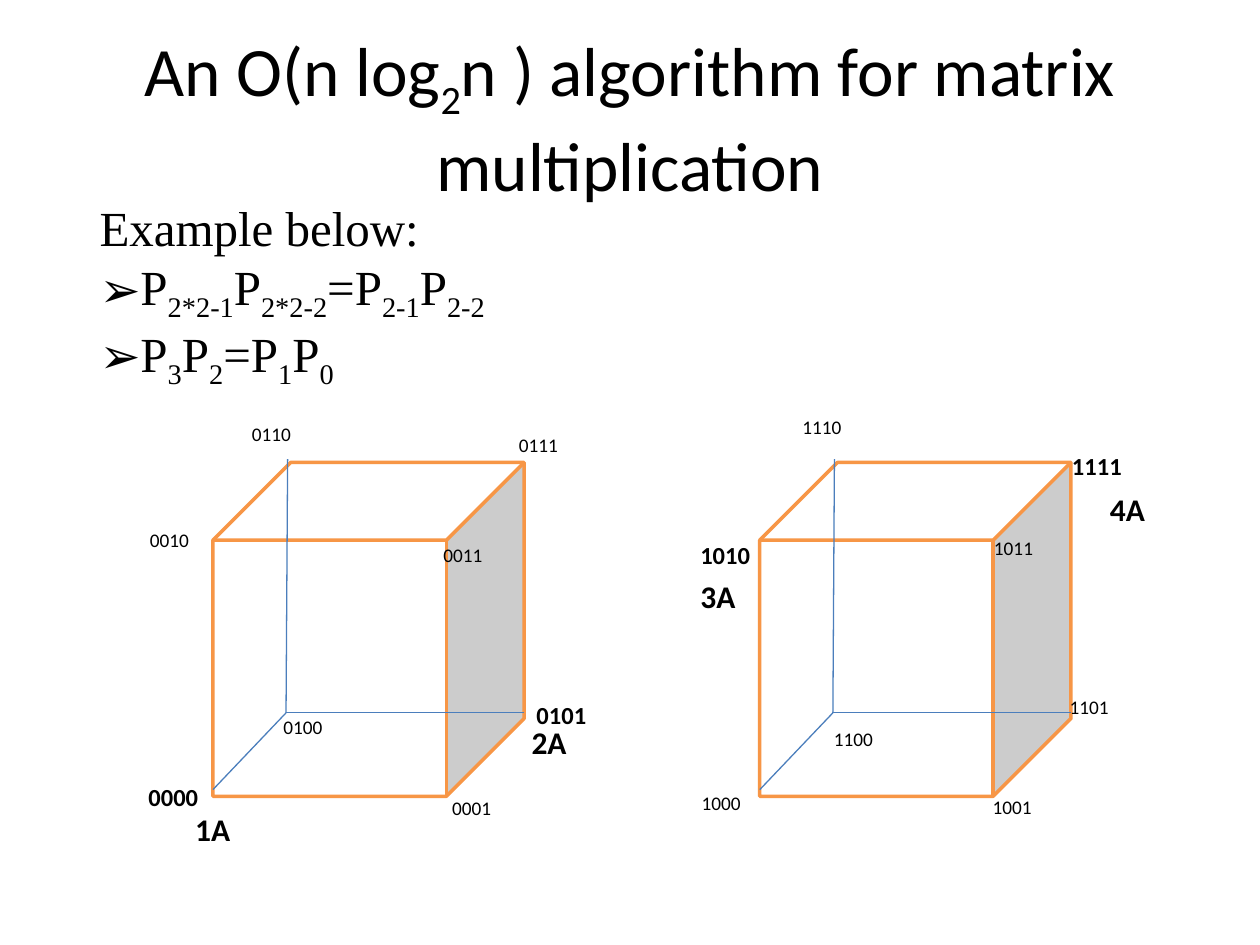
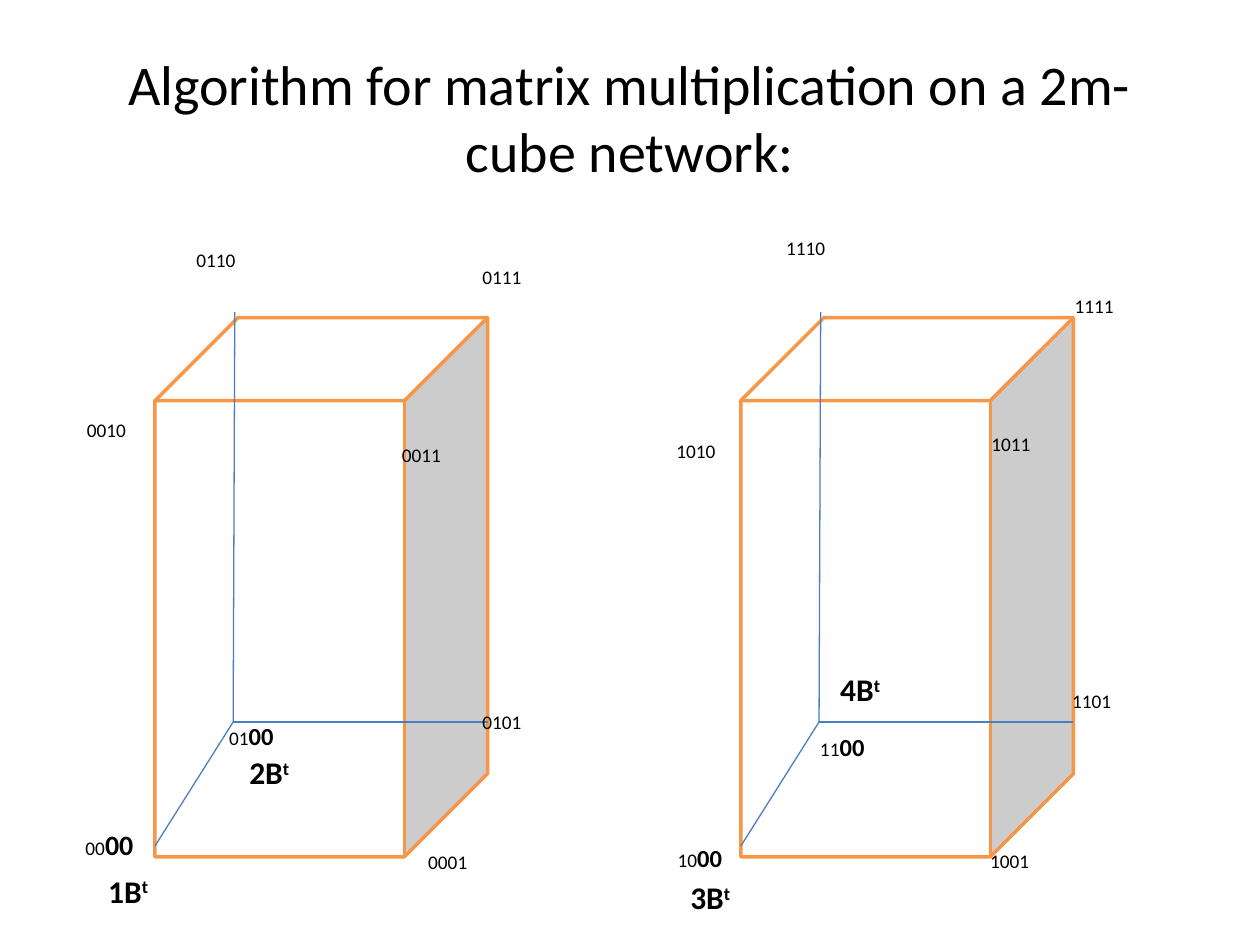
from dataclasses import dataclass

from lxml.etree import SubElement
from pptx import Presentation
from pptx.dml.color import RGBColor
from pptx.enum.shapes import MSO_CONNECTOR, MSO_SHAPE
from pptx.enum.text import MSO_ANCHOR, MSO_AUTO_SIZE, PP_ALIGN
from pptx.oxml.ns import qn
from pptx.util import Inches, Pt


@dataclass(frozen=True)
class Theme:
    ink: RGBColor = RGBColor(0, 0, 0)
    face: RGBColor = RGBColor(0xFF, 0xFF, 0xFF)
    edge: RGBColor = RGBColor(0xF7, 0x96, 0x46)
    hidden_edge: RGBColor = RGBColor(0x4B, 0x7E, 0xBC)
    sans: str = "Calibri"
    serif: str = "Times New Roman"
    node: float = 11
    active_node: float = 14
    block: float = 18
    formula: float = 28


theme = Theme()
SUB, SUPER = -25000, 30000


def write(paragraph, pieces, font=theme.sans):
    """Add pieces of (text, size, bold, baseline) as formatted runs."""
    for text, size, bold, baseline in pieces:
        run = paragraph.add_run()
        run.text = text
        run.font.name, run.font.size, run.font.bold = font, Pt(size), bold
        run.font.color.rgb = theme.ink
        if baseline:
            run.font._element.set("baseline", str(baseline))


def add_label(slide, left, top, width, height, pieces):
    frame = slide.shapes.add_textbox(
        Inches(left), Inches(top), Inches(width), Inches(height)).text_frame
    frame.word_wrap = True
    frame.margin_right = 0
    write(frame.paragraphs[0], pieces)


# Hidden edges run from the far corner, as shares of the cube's box
FAR_CORNER = (0.235, 0.75)
EDGE_ENDS = [(0.24, -0.01), (1, 0.75), (0, 0.98)]

# Each node is (plain digits, bold digits, left, top)
slides = [
    dict(
        layout=1, title_size=39.6,
        title=[("An O(n log", 0), ("2", SUB), ("n ) algorithm for matrix multiplication", 0)],
        cube_lefts=(1.69, 6.03), cube_top=3.67, cube_size=(2.47, 2.65), node_box=(0.92, 0.4),
        nodes=[
            ("", "0000", 1.08, 6.16), ("0001", "", 3.49, 6.27),
            ("0010", "", 1.09, 4.14), ("0011", "", 3.42, 4.26),
            ("0100", "", 2.15, 5.63), ("", "0101", 4.16, 5.51),
            ("0110", "", 1.9, 3.3), ("0111", "", 4.02, 3.39),
            ("1000", "", 5.47, 6.23), ("1001", "", 7.78, 6.26),
            ("", "1010", 5.46, 4.24), ("1011", "", 7.79, 4.21),
            ("1100", "", 6.52, 5.72), ("1101", "", 8.39, 5.47),
            ("1110", "", 6.27, 3.25), ("", "1111", 8.41, 3.53),
        ],
        matrix="A", exponent="", block_width=0.48,
        blocks=[(1.45, 6.38), (4.12, 5.69), (5.46, 4.53), (8.71, 3.84)],
    ),
    dict(
        layout=5, title_size=32,
        title=[("Algorithm for matrix multiplication on a 2m-cube network:", 0)],
        cube_lefts=(1.23, 5.88), cube_top=2.52, cube_size=(2.64, 4.28), node_box=(0.99, 0.64),
        nodes=[
            ("00", "00", 0.58, 6.52), ("0001", "", 3.3, 6.7),
            ("0010", "", 0.59, 3.27), ("0011", "", 3.09, 3.47),
            ("01", "00", 1.72, 5.67), ("0101", "", 3.73, 5.59),
            ("0110", "", 1.46, 1.92), ("0111", "", 3.73, 2.06),
            ("10", "00", 5.28, 6.64), ("1001", "", 7.76, 6.69),
            ("1010", "", 5.27, 3.44), ("1011", "", 7.77, 3.38),
            ("11", "00", 6.41, 5.76), ("1101", "", 8.41, 5.42),
            ("1110", "", 6.14, 1.83), ("1111", "", 8.43, 2.29),
        ],
        matrix="B", exponent="t", block_width=0.59,
        blocks=[(0.76, 6.87), (1.88, 5.93), (5.38, 6.92), (6.57, 5.27)],
    ),
]

# Example list: P terms alternate with their subscripts
example = [
    ["Example below:"],
    ["P", "2*2-1", "P", "2*2-2", "=P", "2-1", "P", "2-2"],
    ["P", "3", "P", "2", "=P", "1", "P", "0"],
]

deck = Presentation()
deck.slide_width, deck.slide_height = Inches(10), Inches(7.5)

for content in slides:
    slide = deck.slides.add_slide(deck.slide_layouts[content["layout"]])

    # Title
    title = slide.shapes.title
    title.left, title.top, title.width, title.height = map(Inches, (0.5, 0.3, 9, 1.25))
    title.text_frame.auto_size = MSO_AUTO_SIZE.NONE
    title.text_frame.vertical_anchor = MSO_ANCHOR.MIDDLE
    heading = title.text_frame.paragraphs[0]
    heading.alignment = PP_ALIGN.CENTER
    write(heading, [(text, content["title_size"], False, base) for text, base in content["title"]])

    # Cubes with their hidden edges
    width, height = content["cube_size"]
    top = content["cube_top"]
    for left in content["cube_lefts"]:
        cube = slide.shapes.add_shape(
            MSO_SHAPE.CUBE, Inches(left), Inches(top), Inches(width), Inches(height))
        cube.shadow.inherit = False
        cube.fill.solid()
        cube.fill.fore_color.rgb = theme.face
        cube.line.color.rgb = theme.edge
        cube.line.width = Pt(2)
        for end in EDGE_ENDS:
            ends = [Inches(start + share * length)
                    for point in (FAR_CORNER, end)
                    for start, share, length in zip((left, top), point, (width, height))]
            edge = slide.shapes.add_connector(MSO_CONNECTOR.STRAIGHT, *ends)
            edge.line.color.rgb = theme.hidden_edge
            edge.line.width = Pt(0.75)
            SubElement(edge._element.spPr, qn("a:effectLst"))

    # Node addresses, bold where a block is held
    for plain, bold, left, top in content["nodes"]:
        bold_size = 16 if (plain, bold) == ("00", "00") else theme.active_node
        pieces = [(plain, theme.node, False, 0), (bold, bold_size, True, 0)]
        box = (0.6, 0.34) if bold else content["node_box"]
        add_label(slide, left, top, *box, [piece for piece in pieces if piece[0]])

    # Matrix blocks
    for number, (left, top) in enumerate(content["blocks"], start=1):
        pieces = [(f"{number}{content['matrix']}", theme.block, True, 0)]
        if content["exponent"]:
            pieces.append((content["exponent"], theme.block, True, SUPER))
        add_label(slide, left, top, content["block_width"], 0.4, pieces)

# Example on the first slide
body = deck.slides[0].placeholders[1]
body.left, body.top, body.width, body.height = map(Inches, (0.69, 1.52, 8.98, 2.12))
body.text_frame.auto_size = MSO_AUTO_SIZE.NONE
for row, terms in enumerate(example):
    line = body.text_frame.add_paragraph() if row else body.text_frame.paragraphs[0]
    line.space_before = Pt(0)
    indent = Inches(0.31) if row else 0
    properties = line._p.get_or_add_pPr()
    properties.set("marL", str(indent))
    properties.set("indent", str(-indent))
    if row:
        SubElement(properties, qn("a:buChar")).set("char", "➢")
    else:
        SubElement(properties, qn("a:buNone"))
    write(line, [(term, theme.formula, False, SUB if place % 2 else 0)
                 for place, term in enumerate(terms)], theme.serif)

deck.save("out.pptx")
